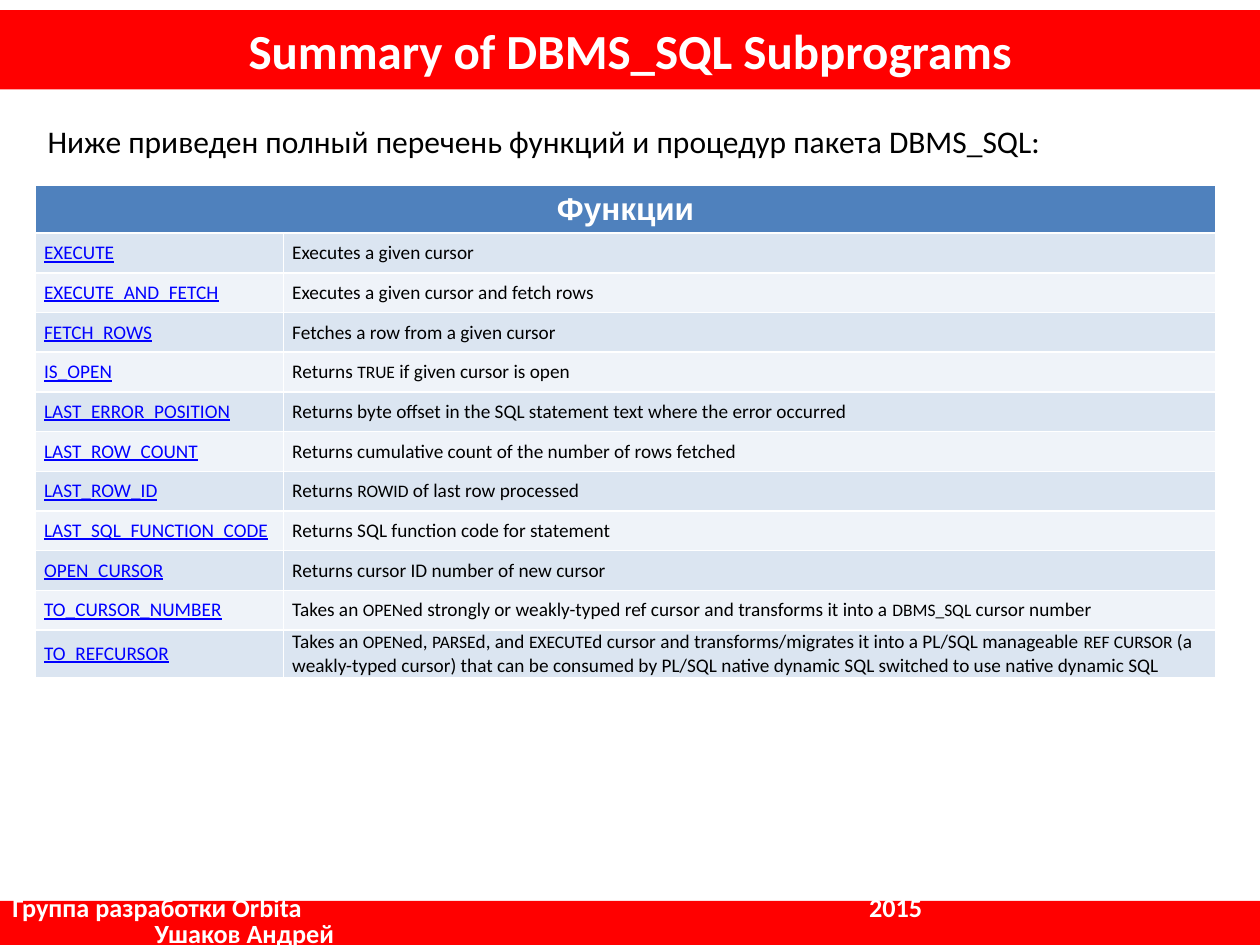
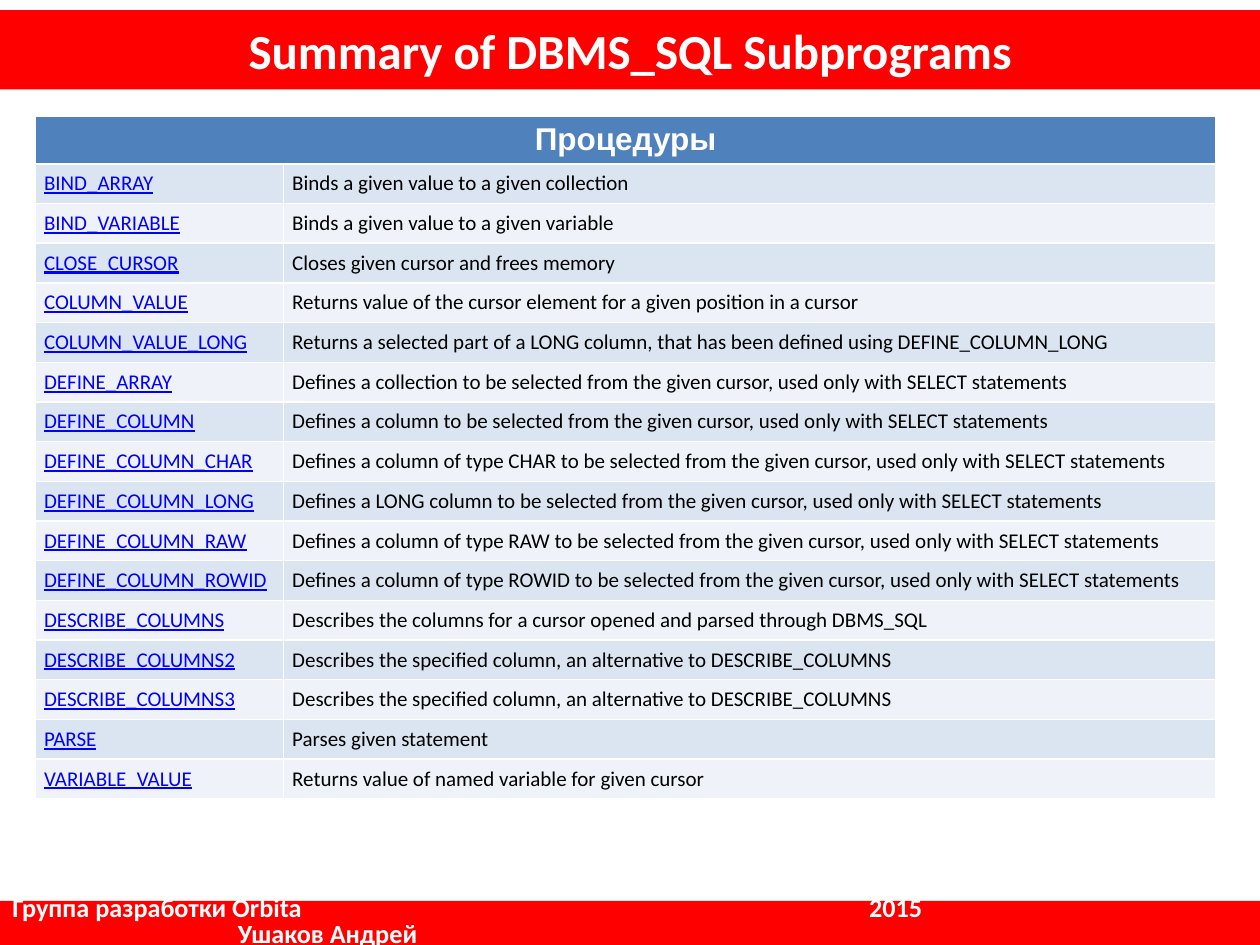
"""Builds two slides that list the DBMS_SQL functions and procedures."""
from pptx import Presentation
from pptx.dml.color import RGBColor
from pptx.enum.shapes import MSO_SHAPE
from pptx.enum.text import MSO_ANCHOR, MSO_AUTO_SIZE, PP_ALIGN
from pptx.oxml.ns import qn
from pptx.util import Cm, Inches, Pt
from lxml.etree import SubElement

TITLE = "Summary of DBMS_SQL Subprograms"
TEAM, YEAR, AUTHOR = "Группа разработки Orbita", "2015", "Ушаков Андрей"
SELECT_ONLY = "to be selected from the given cursor, used only with SELECT statements"
ALTERNATIVE = "Describes the specified column, an alternative to DESCRIBE_COLUMNS"

FUNCTIONS = [
    ("EXECUTE", "Executes a given cursor"),
    ("EXECUTE_AND_FETCH", "Executes a given cursor and fetch rows"),
    ("FETCH_ROWS", "Fetches a row from a given cursor"),
    ("IS_OPEN", "Returns `TRUE` if given cursor is open"),
    ("LAST_ERROR_POSITION",
     "Returns byte offset in the SQL statement text where the error occurred"),
    ("LAST_ROW_COUNT", "Returns cumulative count of the number of rows fetched"),
    ("LAST_ROW_ID", "Returns `ROWID` of last row processed"),
    ("LAST_SQL_FUNCTION_CODE", "Returns SQL function code for statement"),
    ("OPEN_CURSOR", "Returns cursor ID number of new cursor"),
    ("TO_CURSOR_NUMBER",
     "Takes an `OPEN`ed strongly or weakly-typed ref cursor and transforms it "
     "into a `DBMS_SQL` cursor number"),
    ("TO_REFCURSOR",
     "Takes an `OPEN`ed, `PARSE`d, and `EXECUTE`d cursor and transforms/migrates "
     "it into a PL/SQL manageable `REF` `CURSOR` (a weakly-typed cursor) that can be "
     "consumed by PL/SQL native dynamic SQL switched to use native dynamic SQL"),
]
PROCEDURES = [
    ("BIND_ARRAY", "Binds a given value to a given collection"),
    ("BIND_VARIABLE", "Binds a given value to a given variable"),
    ("CLOSE_CURSOR", "Closes given cursor and frees memory"),
    ("COLUMN_VALUE",
     "Returns value of the cursor element for a given position in a cursor"),
    ("COLUMN_VALUE_LONG",
     "Returns a selected part of a LONG column, that has been defined using "
     "DEFINE_COLUMN_LONG"),
    ("DEFINE_ARRAY", f"Defines a collection {SELECT_ONLY}"),
    ("DEFINE_COLUMN", f"Defines a column {SELECT_ONLY}"),
    ("DEFINE_COLUMN_CHAR", f"Defines a column of type CHAR {SELECT_ONLY}"),
    ("DEFINE_COLUMN_LONG", f"Defines a LONG column {SELECT_ONLY}"),
    ("DEFINE_COLUMN_RAW", f"Defines a column of type RAW {SELECT_ONLY}"),
    ("DEFINE_COLUMN_ROWID", f"Defines a column of type ROWID {SELECT_ONLY}"),
    ("DESCRIBE_COLUMNS",
     "Describes the columns for a cursor opened and parsed through DBMS_SQL"),
    ("DESCRIBE_COLUMNS2", ALTERNATIVE),
    ("DESCRIBE_COLUMNS3", ALTERNATIVE),
    ("PARSE", "Parses given statement"),
    ("VARIABLE_VALUE", "Returns value of named variable for given cursor"),
]
SLIDES = [
    {"intro": "Ниже приведен полный перечень функций и процедур пакета DBMS_SQL:",
     "heading": "Функции", "rows": FUNCTIONS, "top": 1.47, "size": 11,
     "author_indent": 1.13},
    {"heading": "Процедуры", "rows": PROCEDURES, "top": 0.92, "size": 12,
     "author_indent": 1.79},
]

RED, WHITE, BLACK, LINK = "FF0000", "FFFFFF", "000000", "0000FF"
HEADING_FILL, BAND_FILLS = "4F81BD", ("DBE5F1", "EFF3F9")
WIDTH, HEIGHT = 10, 7.5
MARGIN, CONTENT_TOP = 0.28, 0.92
COLUMNS = (1.97, 7.4)
ROW_HEIGHT = Cm(0.8)
FOOTER_HEIGHT, YEAR_TAB = 0.35, 6.8


def color(value):
    return RGBColor.from_string(value)


def paint(target, value):
    target.fill.solid()
    target.fill.fore_color.rgb = color(value)


def add_span(para, text, size, ink, bold=False, underline=False, font="Calibri"):
    span = para.add_run()
    span.text = text
    span.font.name, span.font.size = font, Pt(size)
    span.font.bold, span.font.underline = bold, underline
    span.font.color.rgb = color(ink)


def add_title(page):
    title = page.shapes.title
    title.left, title.top = Inches(0), Inches(0.08)
    title.width, title.height = Inches(WIDTH), Inches(0.63)
    paint(title, RED)
    frame = title.text_frame
    frame.auto_size = MSO_AUTO_SIZE.NONE
    frame.vertical_anchor = MSO_ANCHOR.MIDDLE
    frame.paragraphs[0].alignment = PP_ALIGN.CENTER
    add_span(frame.paragraphs[0], TITLE, 28, WHITE, bold=True)


def add_footer(page, author_indent):
    band = page.shapes.add_shape(
        MSO_SHAPE.RECTANGLE, 0, Inches(HEIGHT - FOOTER_HEIGHT),
        Inches(WIDTH), Inches(FOOTER_HEIGHT))
    band.shadow.inherit = False
    paint(band, RED)
    band.line.fill.background()
    frame = band.text_frame
    frame.word_wrap = True
    frame.vertical_anchor = MSO_ANCHOR.MIDDLE
    lines = [frame.paragraphs[0], frame.add_paragraph()]
    for para, text in zip(lines, (f"{TEAM}\t{YEAR}", AUTHOR)):
        para.alignment = PP_ALIGN.LEFT
        para.line_spacing = 0.8
        add_span(para, text, 15, WHITE, bold=True)
    tabs = SubElement(lines[0]._p.get_or_add_pPr(), qn("a:tabLst"))
    SubElement(tabs, qn("a:tab"), pos=str(Inches(YEAR_TAB)), algn="l")
    lines[1]._p.get_or_add_pPr().set("marL", str(Inches(author_indent)))


def add_intro(page, text):
    box = page.shapes.add_textbox(
        Inches(MARGIN), Inches(CONTENT_TOP), Inches(sum(COLUMNS)), Inches(0.4))
    box.text_frame.word_wrap = True
    add_span(box.text_frame.paragraphs[0], text, 18, BLACK)


def fill_cell(cell, text, size, band, ink, underline):
    paint(cell, band)
    cell.vertical_anchor = MSO_ANCHOR.MIDDLE
    cell.margin_left = cell.margin_right = Inches(0.07)
    cell.margin_top = cell.margin_bottom = 0
    para = cell.text_frame.paragraphs[0]
    for index, part in enumerate(text.split("`")):
        add_span(para, part, 10 if index % 2 else size, ink, underline=underline)


def add_subprograms(page, heading, rows, top, size):
    count = len(rows) + 1
    table = page.shapes.add_table(
        count, len(COLUMNS), Inches(MARGIN), Inches(top),
        Inches(sum(COLUMNS)), ROW_HEIGHT * count).table
    for column, width in zip(table.columns, COLUMNS):
        column.width = Inches(width)
    header = table.cell(0, 0)
    header.merge(table.cell(0, 1))
    paint(header, HEADING_FILL)
    para = header.text_frame.paragraphs[0]
    para.alignment = PP_ALIGN.CENTER
    add_span(para, heading, 18, WHITE, bold=True, font="Arial")
    for index, (name, description) in enumerate(rows):
        band = BAND_FILLS[index % 2]
        fill_cell(table.cell(index + 1, 0), name, size, band, LINK, True)
        fill_cell(table.cell(index + 1, 1), description, size, band, BLACK, False)


def main():
    deck = Presentation()
    deck.slide_width, deck.slide_height = Inches(WIDTH), Inches(HEIGHT)
    for content in SLIDES:
        page = deck.slides.add_slide(deck.slide_layouts.get_by_name("Title Only"))
        add_title(page)
        add_footer(page, content["author_indent"])
        add_subprograms(page, content["heading"], content["rows"],
                        content["top"], content["size"])
        if "intro" in content:
            add_intro(page, content["intro"])
    deck.save("out.pptx")


if __name__ == "__main__":
    main()
